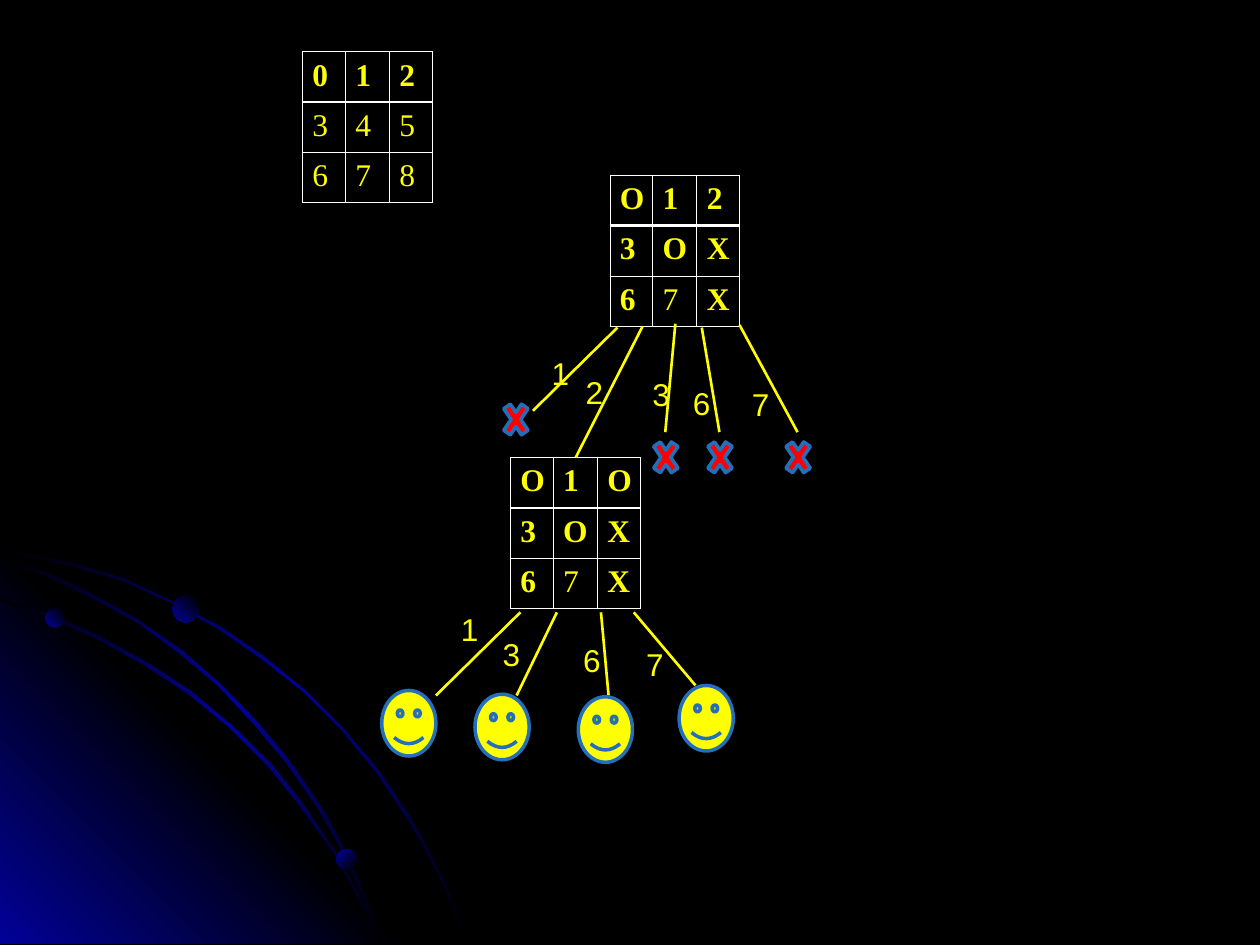
"""Build the game-tree slide for a tic-tac-toe position."""
from typing import NamedTuple

from lxml import etree
from pptx import Presentation
from pptx import util as u
from pptx.dml.color import RGBColor
from pptx.enum import shapes, text
from pptx.oxml.ns import qn

PX = u.Inches(1) // 100
YELLOW, WHITE, BLACK = "FFFF00", "FFFFFF", "000000"
BLUE, RED, OUTLINE = "010199", "FF0000", "236FBC"
ARC_STOPS = [(0, BLACK), (50, BLUE), (100, BLACK)]
CORNER_STOPS = [(0, BLUE), (50, BLACK), (100, BLUE)]
ORB_STOPS = [(0, BLUE), (100, BLACK)]


class Backdrop(NamedTuple):
    points: list
    stops: list
    angle: int


class Orb(NamedTuple):
    left: int
    top: int
    size: int
    angle: int


class Board(NamedTuple):
    left: int
    top: int
    rows: list
    plain: str


class Move(NamedTuple):
    label: str
    label_at: tuple
    start: tuple
    end: tuple


BACKDROPS = [
    Backdrop([(57, 447), (28, 441), (0, 435), (0, 438), (28, 443), (56, 449), (97, 461),
              (135, 478), (173, 499), (208, 523), (241, 549), (271, 579), (298, 612),
              (323, 649), (337, 673), (350, 698), (360, 723), (370, 749), (372, 749),
              (362, 723), (352, 698), (339, 673), (325, 648), (300, 611), (272, 578),
              (242, 548), (209, 521), (174, 497), (136, 477), (98, 459)], ARC_STOPS, 45),
    Backdrop([(322, 749), (0, 749), (0, 427)], CORNER_STOPS, 315),
    Backdrop([(285, 714), (294, 732), (301, 749), (303, 749), (296, 730), (286, 712),
              (266, 676), (242, 640), (215, 606), (184, 576), (152, 549), (117, 526),
              (79, 505), (41, 488), (0, 475), (0, 477), (39, 490), (77, 507), (115, 528),
              (150, 551), (183, 578), (213, 608), (240, 642), (265, 677)], ARC_STOPS, 45),
    Backdrop([(0, 442), (0, 444), (36, 457), (74, 475), (109, 494), (142, 518), (173, 544),
              (202, 575), (227, 605), (252, 641), (267, 667), (280, 694), (292, 722),
              (301, 749), (303, 749), (294, 720), (282, 693), (269, 665), (254, 639),
              (229, 603), (204, 573), (175, 543), (144, 516), (111, 493), (76, 473),
              (39, 455)], ARC_STOPS, 45),
]
ORBS = [Orb(36, 483, 15, 315), Orb(267, 674, 16, 45), Orb(137, 473, 21, 315)]
BOARDS = [
    Board(240, 41, ["012", "345", "678"], "345678"),
    Board(484, 139, ["O12", "3OX", "67X"], "7"),
    Board(405, 363, ["O1O", "3OX", "67X"], "7"),
]
MOVES = [
    Move("1", (428, 276), (490, 260), (423, 326)),
    Move("2", (455, 291), (510, 259), (457, 363)),
    Move("3", (508, 293), (536, 257), (528, 343)),
    Move("6", (540, 300), (557, 260), (571, 343)),
    Move("7", (587, 301), (587, 258), (633, 343)),
    Move("1", (356, 479), (413, 486), (346, 552)),
    Move("3", (389, 499), (442, 486), (410, 552)),
    Move("6", (453, 504), (477, 486), (483, 552)),
    Move("7", (503, 507), (503, 486), (552, 544)),
]
CROSSES = [(396, 313), (515, 343), (558, 343), (620, 343)]
SMILEYS = [(303, 548), (377, 551), (459, 553), (539, 544)]


def px(*lengths: int) -> list:
    """Turn px into EMU."""
    return [length * PX for length in lengths]


def rgb(value: str) -> RGBColor:
    """Turn a hex string into a colour."""
    return RGBColor.from_string(value)


def add_run(paragraph, wording: str, font: str, bold: bool = False) -> None:
    """Add one yellow 18 pt run."""
    run = paragraph.add_run()
    run.text = wording
    run.font.name, run.font.size, run.font.bold = font, u.Pt(18), bold
    run.font.color.rgb = rgb(YELLOW)


def add_gradient(shape, stops: list, angle: int) -> None:
    """Give a shape a linear gradient and no outline."""
    shape.shadow.inherit = False
    shape.line.fill.background()
    shape.fill.background()
    properties = shape._element.spPr
    gradient = etree.Element(qn("a:gradFill"), rotWithShape="1")
    stop_list = etree.SubElement(gradient, qn("a:gsLst"))
    for position, color in stops:
        stop = etree.SubElement(stop_list, qn("a:gs"), pos=str(position * 1000))
        etree.SubElement(stop, qn("a:srgbClr"), val=color)
    etree.SubElement(gradient, qn("a:lin"), ang=str(angle * 60000), scaled="0")
    properties.replace(properties.find(qn("a:noFill")), gradient)


def add_backdrop(slide, backdrop: Backdrop) -> None:
    """Draw one gradient outline of the backdrop."""
    builder = slide.shapes.build_freeform(*backdrop.points[0], scale=PX)
    builder.add_line_segments(backdrop.points[1:], close=True)
    add_gradient(builder.convert_to_shape(), backdrop.stops, backdrop.angle)


def add_orb(slide, orb: Orb) -> None:
    """Draw one ball riding on an arc."""
    shape = slide.shapes.add_shape(
        shapes.MSO_SHAPE.OVAL, *px(orb.left, orb.top, orb.size, orb.size))
    add_gradient(shape, ORB_STOPS, orb.angle)


def add_border(cell, side: str, points: float) -> None:
    """Add one white border to a cell."""
    line = etree.SubElement(cell._tc.get_or_add_tcPr(), qn(f"a:ln{side}"), w=str(u.Pt(points)))
    fill = etree.SubElement(line, qn("a:solidFill"))
    etree.SubElement(fill, qn("a:srgbClr"), val=WHITE)


def add_board(slide, board: Board) -> None:
    """Draw a three by three board as a table."""
    frame = slide.shapes.add_table(3, 3, *px(board.left, board.top, 103, 120))
    table = frame.table
    table.first_row = table.horz_banding = False
    for column, width in zip(table.columns, px(34, 35, 34)):
        column.width = width
    for row_index, marks in enumerate(board.rows):
        table.rows[row_index].height = 40 * PX
        for column_index, mark in enumerate(marks):
            cell = table.cell(row_index, column_index)
            cell.margin_left = cell.margin_right = 8 * PX
            cell.margin_top = cell.margin_bottom = 5 * PX
            thick_side = {0: "B", 1: "T"}.get(row_index)
            for side in "LRTB":
                add_border(cell, side, 1.47 if side == thick_side else 0.45)
            cell.fill.background()
            add_run(cell.text_frame.paragraphs[0], mark, "Times New Roman",
                    mark not in board.plain)


def add_move(slide, move: Move) -> None:
    """Draw a branch of the tree with its label."""
    line = slide.shapes.add_connector(
        shapes.MSO_CONNECTOR.STRAIGHT, *px(*move.start, *move.end))
    line.line.color.rgb, line.line.width = rgb(YELLOW), u.Pt(1.5)
    etree.SubElement(line._element.spPr, qn("a:effectLst"))
    frame = slide.shapes.add_textbox(*px(*move.label_at, 24, 40)).text_frame
    frame.word_wrap = True
    frame.auto_size = text.MSO_AUTO_SIZE.SHAPE_TO_FIT_TEXT
    add_run(frame.paragraphs[0], move.label, "Arial")


def add_outcome(slide, kind, place: tuple, size: tuple, color: str) -> None:
    """Draw the mark at the end of a branch."""
    shape = slide.shapes.add_shape(kind, *px(*place, *size))
    shape.shadow.inherit = False
    shape.fill.solid()
    shape.fill.fore_color.rgb = rgb(color)
    shape.line.color.rgb, shape.line.width = rgb(OUTLINE), u.Pt(2)


def main() -> None:
    """Build and save the presentation."""
    presentation = Presentation()
    presentation.slide_width, presentation.slide_height = px(1000, 750)
    slide = presentation.slides.add_slide(presentation.slide_layouts[6])
    slide.background.fill.solid()
    slide.background.fill.fore_color.rgb = rgb(BLACK)
    for draw, items in ((add_backdrop, BACKDROPS), (add_orb, ORBS),
                        (add_board, BOARDS), (add_move, MOVES)):
        for item in items:
            draw(slide, item)
    for place in CROSSES:
        add_outcome(slide, shapes.MSO_SHAPE.MATH_MULTIPLY, place, (27, 40), RED)
    for place in SMILEYS:
        add_outcome(slide, shapes.MSO_SHAPE.SMILEY_FACE, place, (43, 52), YELLOW)
    presentation.save("out.pptx")


if __name__ == "__main__":
    main()
